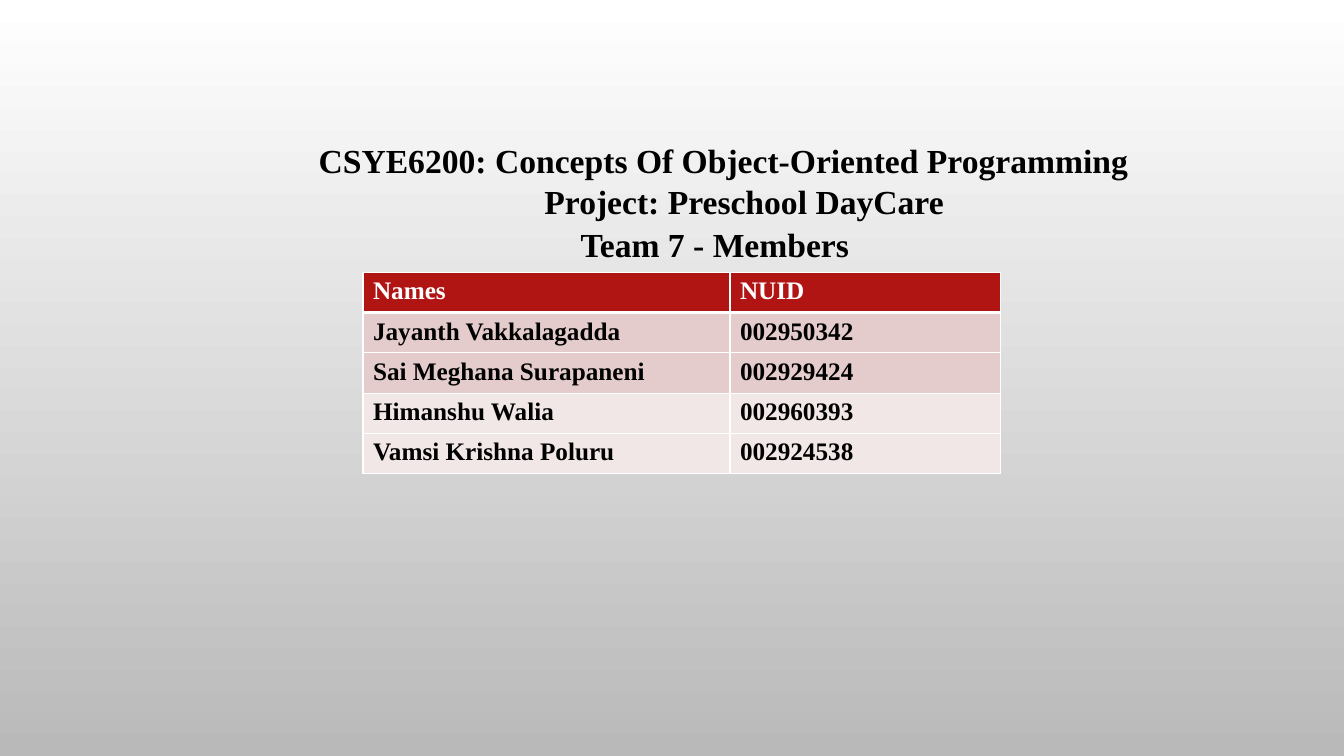
"""Build the team members slide for the preschool day care project."""
from lxml.etree import SubElement
from pptx import Presentation
from pptx.dml.color import RGBColor
from pptx.enum.text import MSO_ANCHOR, MSO_AUTO_SIZE, PP_ALIGN
from pptx.oxml.ns import qn
from pptx.util import Inches, Pt

BLACK = RGBColor(0, 0, 0)
WHITE = RGBColor(255, 255, 255)
GREY = RGBColor(0xB9, 0xB9, 0xB9)
RED = RGBColor(0xB0, 0x15, 0x13)
ROSE = RGBColor(0xE4, 0xCC, 0xCC)
PALE_ROSE = RGBColor(0xF2, 0xE7, 0xE7)


def style_text(paragraph, size, color):
    paragraph.alignment = PP_ALIGN.LEFT
    paragraph.font.name = "Times New Roman"
    paragraph.font.size = Pt(size)
    paragraph.font.bold = True
    paragraph.font.color.rgb = color


def add_border(cell, side, width):
    line = SubElement(cell._tc.get_or_add_tcPr(), qn(f"a:{side}"), w=str(Pt(width)))
    fill = SubElement(line, qn("a:solidFill"))
    SubElement(fill, qn("a:srgbClr"), val=str(WHITE))


prs = Presentation()
prs.slide_width, prs.slide_height = Inches(13.33), Inches(7.5)
slide = prs.slides.add_slide(prs.slide_layouts[5])

backdrop = slide.background.fill
backdrop.gradient()
backdrop.gradient_angle = 270
for stop, color, position in zip(backdrop.gradient_stops, (WHITE, GREY), (0, 1)):
    stop.color.rgb = color
    stop.position = position

course = slide.shapes.title
course.left, course.top = Inches(3.06), Inches(1.34)
course.width, course.height = Inches(8.52), Inches(0.91)
course.text_frame.text = (
    "CSYE6200: Concepts Of Object-Oriented Programming\nProject: Preschool DayCare"
)
course.text_frame.paragraphs[1]._p.get_or_add_pPr().set("marL", str(Inches(2.24)))

team = slide.shapes.add_textbox(Inches(5.66), Inches(2.17), Inches(3.29), Inches(0.5))
team.text_frame.text = "Team 7 - Members"

for heading in (course, team):
    frame = heading.text_frame
    frame.word_wrap = True
    frame.auto_size = MSO_AUTO_SIZE.NONE
    frame.vertical_anchor = MSO_ANCHOR.TOP
    for paragraph in frame.paragraphs:
        style_text(paragraph, 24, BLACK)
        paragraph.space_before = Pt(0)

members = [
    ("Names", "NUID", RED),
    ("Jayanth Vakkalagadda", "002950342", ROSE),
    ("Sai Meghana Surapaneni", "002929424", ROSE),
    ("Himanshu Walia", "002960393", PALE_ROSE),
    ("Vamsi Krishna Poluru", "002924538", PALE_ROSE),
]
roster = slide.shapes.add_table(
    len(members), 2, Inches(3.6), Inches(2.7), Inches(6.32), Inches(2)
).table
roster.columns[0].width = Inches(3.64)
roster.columns[1].width = Inches(2.68)

for row, (name, nuid, color) in enumerate(members):
    for column, value in enumerate((name, nuid)):
        cell = roster.cell(row, column)
        cell.text = value
        style_text(cell.text_frame.paragraphs[0], 18, WHITE if row == 0 else BLACK)
        add_border(cell, "lnL", 0.9)
        add_border(cell, "lnR", 0.9)
        add_border(cell, "lnT", 2.7 if row == 1 else 0.9)
        add_border(cell, "lnB", 2.7 if row == 0 else 0.9)
        cell.fill.solid()
        cell.fill.fore_color.rgb = color

prs.save("out.pptx")
